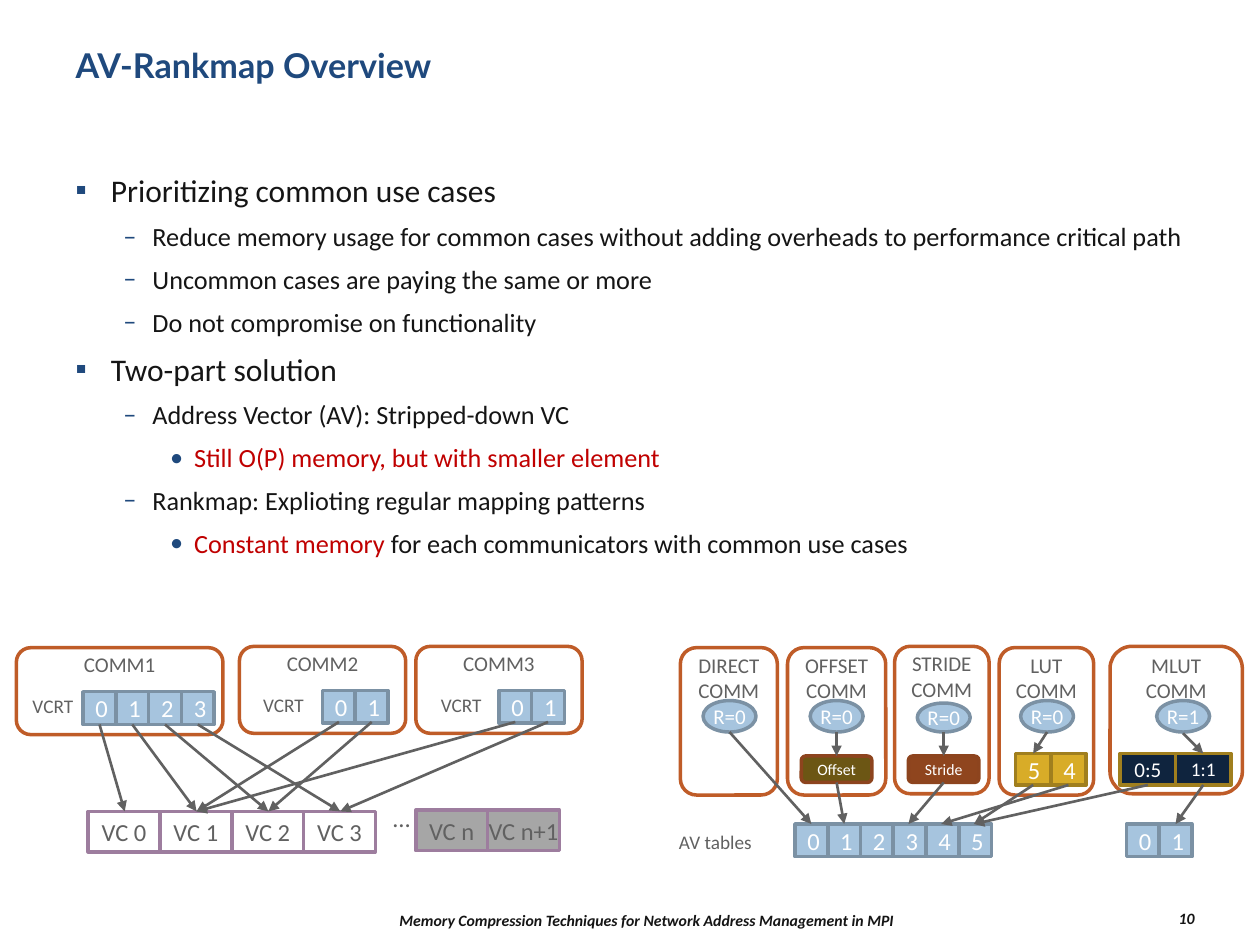
from lxml import etree
from pptx import Presentation
from pptx.dml.color import RGBColor
from pptx.enum.shapes import MSO_CONNECTOR as Conn, MSO_SHAPE as Kind
from pptx.enum.text import MSO_ANCHOR as Anchor, MSO_AUTO_SIZE as Fit, PP_ALIGN as Align
from pptx.oxml.ns import qn
from pptx.util import Inches, Pt

NAVY, INK, RED = "1F497D", "151515", "C00000"
GRAY, WHITE, RUST = "616161", "FFFFFF", "BF5C28"
BLUE = dict(fill="A6C4DE", edge="7B91A4")
GOLD = dict(fill="D8AC28", edge="A07F1E")
DARK = dict(fill="0F243E", edge="A07F1E")
CELL = 0.26

# Level, then runs of text and colour
POINTS = [
    (0, [("Prioritizing common use cases", INK)]),
    (1, [("Reduce memory usage for common cases without adding overheads "
          "to performance critical path", INK)]),
    (1, [("Uncommon cases are paying the same or more", INK)]),
    (1, [("Do not compromise on functionality", INK)]),
    (0, [("Two-part solution", INK)]),
    (1, [("Address Vector (AV): Stripped-down VC", INK)]),
    (2, [("Still O(P) memory, but with smaller element", RED)]),
    (1, [("Rankmap: Explioting regular mapping patterns", INK)]),
    (2, [("Constant memory ", RED),
         ("for each communicators with common use cases", INK)]),
]
# Bullet, left margin, hanging indent and text size of each level
LEVELS = [("▪", 0.28, 0.28, 18), ("–", 0.61, 0.23, 15), ("•", 0.94, 0.19, 15)]


def tint(code):
    return RGBColor.from_string(code)


def style(run, size, color, font="Calibri", bold=False, italic=False):
    face = run.font
    face.size, face.name = Pt(size), font
    face.bold, face.italic = bold, italic
    face.color.rgb = tint(color)


def write(frame, text, align=Align.LEFT, anchor=Anchor.TOP, inset=None,
          wrap=True, **fmt):
    frame.word_wrap, frame.vertical_anchor = wrap, anchor
    if inset is not None:
        frame.margin_left = frame.margin_right = Inches(inset)
        frame.margin_top = frame.margin_bottom = Inches(inset)
    for i, line in enumerate(text.split("\n")):
        para = frame.add_paragraph() if i else frame.paragraphs[0]
        para.alignment = align
        run = para.add_run()
        run.text = line
        style(run, **fmt)


def place(shape, x, y, w, h):
    shape.left, shape.top = Inches(x), Inches(y)
    shape.width, shape.height = Inches(w), Inches(h)
    shape.text_frame.auto_size = Fit.NONE


def label(slide, text, x, y, w, h, **fmt):
    box = slide.shapes.add_textbox(Inches(x), Inches(y), Inches(w), Inches(h))
    write(box.text_frame, text, **fmt)


def block(slide, kind, text, x, y, w, h, fill=WHITE, edge=RUST, color=WHITE,
          size=14, anchor=Anchor.MIDDLE, inset=0):
    shape = slide.shapes.add_shape(kind, Inches(x), Inches(y), Inches(w), Inches(h))
    shape.shadow.inherit = False
    shape.fill.solid()
    shape.fill.fore_color.rgb = tint(fill)
    shape.line.color.rgb = tint(edge)
    shape.line.width = Pt(2)
    write(shape.text_frame, text, align=Align.CENTER, anchor=anchor,
          inset=inset, size=size, color=color)


def row(slide, texts, x, y, w=CELL, h=CELL, **look):
    for i, text in enumerate(texts):
        block(slide, Kind.RECTANGLE, text, x + i * w, y, w, h, **look)


def group(slide, text, x, y, w, h):
    block(slide, Kind.ROUNDED_RECTANGLE, text, x, y, w, h,
          color=GRAY, size=12, anchor=Anchor.TOP)


def arrow(slide, x1, y1, x2, y2):
    link = slide.shapes.add_connector(
        Conn.STRAIGHT, Inches(x1), Inches(y1), Inches(x2), Inches(y2))
    link.line.color.rgb = tint(GRAY)
    link.line.width = Pt(1.5)
    etree.SubElement(link.line._get_or_add_ln(), qn("a:tailEnd"), type="triangle")
    etree.SubElement(link._element.spPr, qn("a:effectLst"))


def bullet(para, mark, left, hang):
    props = para._p.get_or_add_pPr()
    props.set("marL", str(Inches(left)))
    props.set("indent", str(-Inches(hang)))
    color = etree.SubElement(props, qn("a:buClr"))
    etree.SubElement(color, qn("a:srgbClr"), val=NAVY)
    etree.SubElement(props, qn("a:buFont"), typeface="Calibri")
    etree.SubElement(props, qn("a:buChar"), char=mark)


def outline(body):
    place(body, 0.5, 1.25, 9, 5.67)
    frame = body.text_frame
    frame.vertical_anchor = Anchor.TOP
    for i, (level, runs) in enumerate(POINTS):
        para = frame.add_paragraph() if i else frame.paragraphs[0]
        mark, left, hang, size = LEVELS[level]
        bullet(para, mark, left, hang)
        para.level, para.line_spacing = level, 1.2
        para.space_before = Pt(2.8 if i else 0)
        for text, color in runs:
            run = para.add_run()
            run.text = text
            style(run, size, color)


def draw_old(slide):
    # Communicators, each with its own table: name, box, first cell, cells
    for name, x, y, w, start, tag, count in [
            ("COMM1", 0.13, 5.14, 1.64, 0.66, 0.16, 4),
            ("COMM2", 1.9, 5.13, 1.32, 2.56, 1.99, 2),
            ("COMM3", 3.3, 5.13, 1.32, 3.96, 3.4, 2)]:
        group(slide, name, x, y, w, 0.69)
        row(slide, map(str, range(count)), start, y + 0.35, inset=None, **BLUE)
        label(slide, "VCRT", tag, y + 0.32, 0.53, 0.29, wrap=False,
              size=11, color=GRAY)

    # Virtual connections
    look = dict(w=0.57, h=0.32, edge="9D7D9E", color=GRAY)
    row(slide, [f"VC {i}" for i in range(4)], 0.7, 6.44, **look)
    label(slide, "…", 3.12, 6.37, 0.13, 0.24, inset=0, wrap=False,
          size=14, color=GRAY)
    row(slide, ["VC n", "VC n+1"], 3.3, 6.43, fill="A6A6A6", **look)

    # From table cells to connections
    for start, y, goals in [(0.79, 5.75, [0, 1, 2, 3]),
                            (2.69, 5.73, [1, 2]), (4.09, 5.73, [1, 3])]:
        for i, goal in enumerate(goals):
            arrow(slide, start + i * CELL, y, 0.99 + 0.57 * goal, 6.44)


def draw_new(slide):
    # Communicators by rank map: name, box, oval with its rank
    for name, x, y, w, oval, top, rank in [
            ("DIRECT", 5.4, 5.14, 0.77, 5.58, 5.56, 0),
            ("OFFSET", 6.25, 5.14, 0.78, 6.43, 5.56, 0),
            ("STRIDE", 7.1, 5.13, 0.75, 7.28, 5.58, 0),
            ("LUT", 7.93, 5.14, 0.75, 8.1, 5.56, 0),
            ("MLUT", 8.81, 5.13, 1.05, 9.18, 5.56, 1)]:
        group(slide, name + "\nCOMM", x, y, w, 1.17)
        block(slide, Kind.OVAL, f"R={rank}", oval, top, 0.42, 5.81 - top,
              size=12, **BLUE)

    # Maps
    for text, x, fill in [("Offset", 6.36, "6C5614"), ("Stride", 7.21, "8F451E")]:
        block(slide, Kind.ROUNDED_RECTANGLE, text, x, 6, 0.56, 0.21,
              fill=fill, edge="8D441E", size=9)
    row(slide, "54", 8.06, 5.98, w=0.28, h=0.25, inset=None, **GOLD)
    for text, x, size in [("0:5", 8.89, 12), ("1:1", 9.33, 11)]:
        row(slide, [text], x, 5.98, w=0.44, h=0.25, size=size, inset=None, **DARK)

    # Address tables
    label(slide, "AV tables", 5.29, 6.54, 0.79, 0.29, wrap=False,
          size=11, color=GRAY)
    row(slide, "012345", 6.31, 6.54, inset=None, **BLUE)
    row(slide, "01", 8.94, 6.54, inset=None, **BLUE)

    # From ranks to maps, then to addresses
    for ends in [(6.64, 5.81, 6.64, 6), (7.49, 5.81, 7.49, 6),
                 (8.31, 5.81, 8.2, 5.98), (9.39, 5.82, 9.55, 5.98),
                 (5.79, 5.81, 6.44, 6.54), (6.64, 6.21, 6.7, 6.54),
                 (7.49, 6.21, 7.21, 6.54), (8.2, 6.23, 7.73, 6.54),
                 (8.48, 6.23, 7.47, 6.54), (9.11, 6.23, 7.73, 6.54),
                 (9.55, 6.23, 9.33, 6.54)]:
        arrow(slide, *ends)


def main():
    deck = Presentation()
    deck.slide_width, deck.slide_height = Inches(10), Inches(7.5)
    slide = deck.slides.add_slide(deck.slide_layouts[1])

    # Title and list
    title = slide.shapes.title
    place(title, 0.5, 0.3, 9, 0.87)
    write(title.text_frame, "AV-Rankmap Overview", size=19.5, color=NAVY,
          font="Lato", bold=True)
    outline(slide.placeholders[1])

    # Footer
    foot = dict(anchor=Anchor.MIDDLE, size=9, color=INK, bold=True, italic=True)
    label(slide, "Memory Compression Techniques for Network Address Management in MPI",
          2.17, 7.17, 5.92, 0.27, align=Align.CENTER, **foot)
    label(slide, "10", 8.5, 7.15, 1.08, 0.27, align=Align.RIGHT, **foot)

    # Diagrams
    draw_new(slide)
    draw_old(slide)
    deck.save("out.pptx")


if __name__ == "__main__":
    main()
